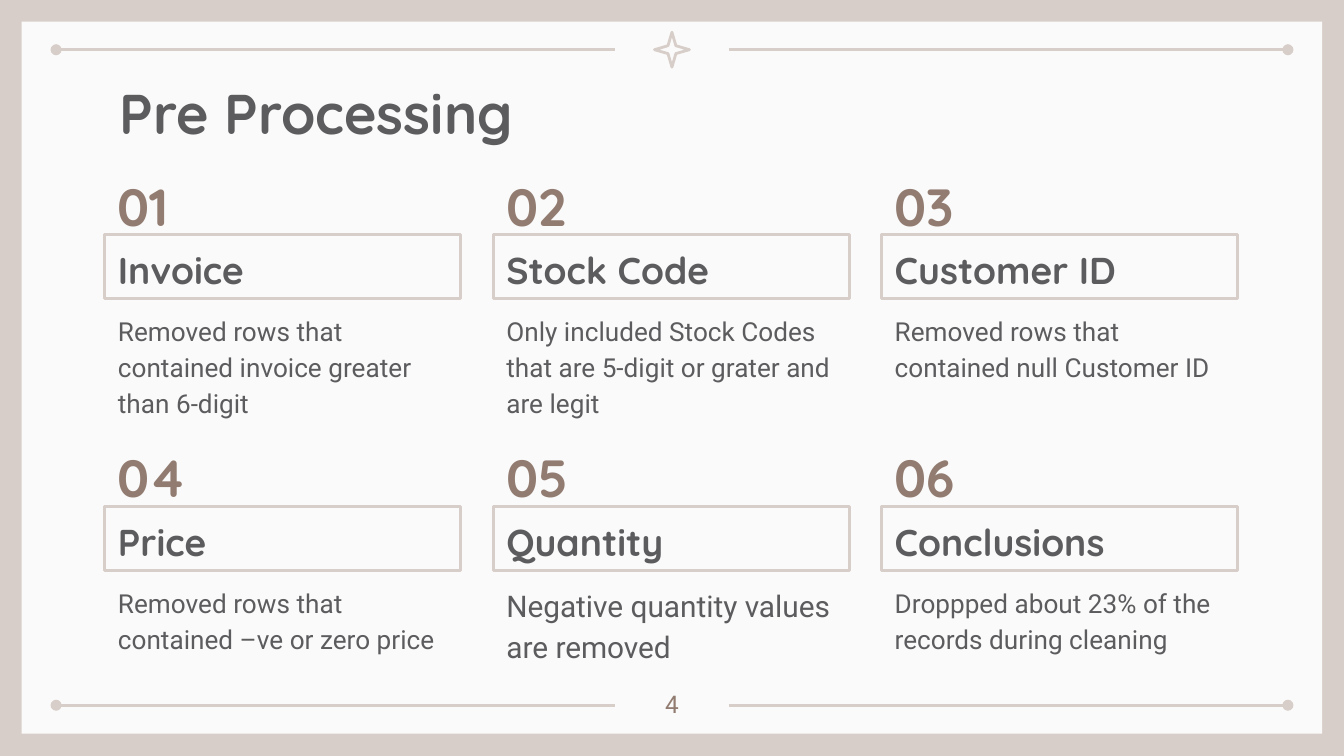
from dataclasses import dataclass

from lxml.etree import SubElement
from pptx import Presentation
from pptx.dml.color import RGBColor
from pptx.enum.shapes import MSO_CONNECTOR, MSO_SHAPE
from pptx.enum.text import MSO_ANCHOR, PP_ALIGN
from pptx.oxml.ns import qn
from pptx.util import Cm, Pt


@dataclass(frozen=True)
class Font:
    name: str
    size: float
    color: RGBColor
    bold: bool = False


@dataclass(frozen=True)
class Theme:
    edge = RGBColor(0xD8, 0xCE, 0xC9)
    paper = RGBColor(0xFA, 0xFA, 0xFA)
    ink = RGBColor(0x5C, 0x5C, 0x5F)
    brown = RGBColor(0x92, 0x7C, 0x71)
    stroke = Pt(1.5)
    title = Font("Quicksand", 30, ink, True)
    number = Font("Quicksand", 28, brown, True)
    head = Font("Quicksand", 20, ink, True)
    body = Font("Roboto", 14, ink)
    large = Font("Roboto", 16, ink)
    page = Font("Roboto", 13, brown)


@dataclass(frozen=True)
class Box:
    left: float
    top: float
    width: float
    height: float

    def place(self) -> tuple:
        return Cm(self.left), Cm(self.top), Cm(self.width), Cm(self.height)


@dataclass(frozen=True)
class Step:
    head: str
    body: str
    font: Font = Theme.body


STEPS = [
    Step("Invoice", "Removed rows that contained invoice greater than 6-digit"),
    Step("Stock Code", "Only included Stock Codes that are 5-digit or grater and are legit"),
    Step("Customer ID", "Removed rows that contained null Customer ID"),
    Step("Price", "Removed rows that contained –ve or zero price"),
    Step("Quantity", "Negative quantity values are removed", Theme.large),
    Step("Conclusions", "Droppped about 23% of the records during cleaning"),
]
COLS = 3


def write(shape, text: str, font: Font, space: float = 1.15,
          anchor=MSO_ANCHOR.TOP, align=PP_ALIGN.LEFT) -> None:
    frame = shape.text_frame
    frame.word_wrap = True
    frame.vertical_anchor = anchor
    frame.margin_left = frame.margin_right = Cm(0.25)
    frame.margin_top = frame.margin_bottom = Cm(0.25)
    para = frame.paragraphs[0]
    para.alignment = align
    para.line_spacing = space
    run = para.add_run()
    run.text = text
    run.font.name = font.name
    run.font.size = Pt(font.size)
    run.font.bold = font.bold
    run.font.color.rgb = font.color


def label(slide, box: Box, text: str, font: Font, **style) -> None:
    write(slide.shapes.add_textbox(*box.place()), text, font, **style)


def frame(slide, kind, box: Box):
    """Add an unfilled shape with the theme outline."""
    shape = slide.shapes.add_shape(kind, *box.place())
    shape.shadow.inherit = False
    shape.fill.background()
    shape.line.color.rgb = Theme.edge
    shape.line.width = Theme.stroke
    return shape


def rule(slide, start: float, stop: float, y: float, end: str) -> None:
    """Draw a level line with a dot at its headEnd or tailEnd."""
    line = slide.shapes.add_connector(
        MSO_CONNECTOR.STRAIGHT, Cm(start), Cm(y), Cm(stop), Cm(y))
    line.line.color.rgb = Theme.edge
    line.line.width = Theme.stroke
    props = line.element.spPr
    SubElement(props.find(qn("a:ln")), qn(f"a:{end}"), type="oval")
    SubElement(props, qn("a:effectLst"))


def card(slide, index: int, step: Step) -> None:
    row, col = divmod(index, COLS)
    left, top = 1.98 + 7.34 * col, 3.18 + 5.14 * row
    label(slide, Box(left, top, 1.83, 1.22), f"{index + 1:02}", Theme.number,
          anchor=MSO_ANCHOR.MIDDLE)
    head = frame(slide, MSO_SHAPE.RECTANGLE, Box(left, top + 1.25, 6.73, 1.21))
    write(head, step.head, Theme.head, anchor=MSO_ANCHOR.MIDDLE)
    label(slide, Box(left, top + 2.44, 6.73, 1.5), step.body, step.font)


def decor(slide) -> None:
    back = slide.background.fill
    back.solid()
    back.fore_color.rgb = Theme.edge
    sheet = slide.shapes.add_shape(
        MSO_SHAPE.RECTANGLE, *Box(0.41, 0.41, 24.58, 13.46).place())
    sheet.shadow.inherit = False
    sheet.fill.solid()
    sheet.fill.fore_color.rgb = Theme.paper
    sheet.line.fill.background()
    for y in (0.94, 13.33):
        rule(slide, 1.06, 11.63, y, "headEnd")
        rule(slide, 13.77, 24.34, y, "tailEnd")
    star = frame(slide, MSO_SHAPE.STAR_4_POINT, Box(12.37, 0.61, 0.66, 0.66))
    star.adjustments[0] = 0.16


def main() -> None:
    deck = Presentation()
    deck.slide_width, deck.slide_height = Cm(25.4), Cm(14.29)
    slide = deck.slides.add_slide(deck.slide_layouts[6])
    decor(slide)
    label(slide, Box(2.01, 1.24, 21.41, 1.6), "Pre Processing", Theme.title,
          space=1.0)
    for index, step in enumerate(STEPS):
        card(slide, index, step)
    label(slide, Box(11.94, 12.78, 1.52, 0.91), "4", Theme.page,
          space=1.0, align=PP_ALIGN.CENTER)
    deck.save("out.pptx")


if __name__ == "__main__":
    main()
